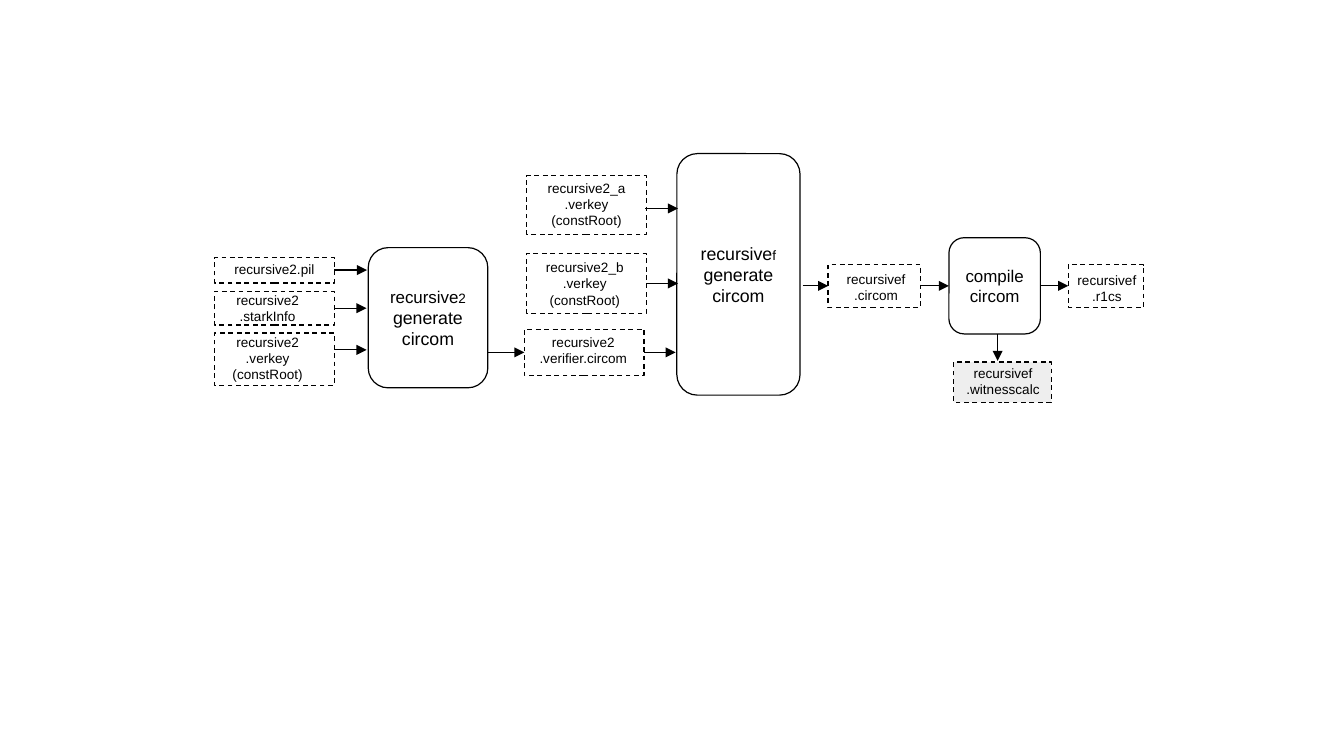
from lxml.etree import SubElement
from pptx import Presentation
from pptx.dml.color import RGBColor
from pptx.enum.dml import MSO_LINE
from pptx.enum.shapes import MSO_CONNECTOR, MSO_SHAPE
from pptx.enum.text import MSO_ANCHOR, PP_ALIGN
from pptx.oxml.ns import qn
from pptx.util import Pt

COLORS = {"ink": "000000", "white": "FFFFFF", "gray": "EEEEEE"}
FONT = "Arial"
LINE_WIDTH = 0.71
FILE_SIZE = 8
LEFT, BOTTOM, RIGHT = 1, 2, 3

STEPS = {
    "recursive2 step": ((217.4, 146.2, 70.6, 82.8),
                        [[("recursive", 10), ("2", 8)], [("generate", 10.5)], [("circom", 10.5)]]),
    "recursivef step": ((399.6, 90.7, 72.7, 142.6),
                        [[("recursive", 10.5), ("f", 8)], [("generate", 10.5)], [("circom", 10.5)]]),
    "compile step": ((560.2, 140.4, 54, 56.8),
                     [[("compile", 10)], [("circom", 10)]]),
}

FILES = {
    "pil": ((126.7, 151.9, 70.6, 15.2), (0, -0.7), None, ["recursive2.pil"]),
    "starkInfo": ((126.7, 172, 70.6, 20), (-4, 0), None, ["recursive2", ".starkInfo"]),
    "verkey": ((126.7, 196.6, 70.6, 31), (-4, -0.8), None, ["recursive2", ".verkey", "(constRoot)"]),
    "verkey a": ((311, 103.7, 70.6, 34.6), (0, -0.4), None, ["recursive2_a", ".verkey", "(constRoot)"]),
    "verkey b": ((311, 149.8, 70.6, 35.2), (-1, 0), None, ["recursive2_b", ".verkey", "(constRoot)"]),
    "verifier": ((309.6, 194.4, 70.6, 27.4), (-0.5, -1.5), None, ["recursive2", ".verifier.circom"]),
    "circom": ((488.9, 156.2, 54.7, 25.2), (1, 0.6), None, ["recursivef", ".circom"]),
    "r1cs": ((630.7, 156.2, 44.6, 25.2), (0.5, 1.5), None, ["recursivef", ".r1cs"]),
    "witnesscalc": ((563, 213.8, 57.6, 23.8), (0.4, -0.7), "gray", ["recursivef", ".witnesscalc"]),
}

ARROWS = [
    ((197.3, 159.5), (216.7, 159.5), ("pil", RIGHT), None),
    ((197.3, 182), (216.4, 182), ("starkInfo", RIGHT), None),
    ((197.3, 206.6), (216.4, 206.6), None, None),
    ((288, 208.1), (309.6, 208.1), None, ("verifier", LEFT)),
    ((380.9, 123.1), (400.3, 123.1), None, None),
    ((381.6, 167.4), (400.3, 167.4), ("verkey b", RIGHT), None),
    ((380.2, 208.1), (398.9, 208.1), ("verifier", RIGHT), None),
    ((473.8, 168.8), (488.9, 168.8), None, ("circom", LEFT)),
    ((543.6, 168.8), (560.2, 168.8), ("circom", RIGHT), ("compile step", LEFT)),
    ((614.2, 168.8), (630.7, 168.8), ("compile step", RIGHT), ("r1cs", LEFT)),
    ((589, 197.3), (589, 213.1), None, None),
]


def color(name):
    return RGBColor.from_string(COLORS[name])


def add_box(page, kind, frame, fill, lines, shift=(0, 0)):
    box = page.shapes.add_shape(kind, *map(Pt, frame))
    box.shadow.inherit = False
    if fill:
        box.fill.solid()
        box.fill.fore_color.rgb = color(fill)
    else:
        box.fill.background()
    box.line.color.rgb = color("ink")
    box.line.width = Pt(LINE_WIDTH)
    text = box.text_frame
    text.word_wrap = True
    text.vertical_anchor = MSO_ANCHOR.MIDDLE
    dx, dy = shift
    text.margin_left, text.margin_right = Pt(max(0, 2 * dx)), Pt(max(0, -2 * dx))
    text.margin_top, text.margin_bottom = Pt(max(0, 2 * dy)), Pt(max(0, -2 * dy))
    for index, spans in enumerate(lines):
        para = text.paragraphs[0] if index == 0 else text.add_paragraph()
        para.alignment = PP_ALIGN.CENTER
        for words, size in spans:
            span = para.add_run()
            span.text = words
            span.font.name = FONT
            span.font.size = Pt(size)
            span.font.color.rgb = color("ink")
    return box


def add_arrow(page, boxes, start, end, begin_join, end_join):
    arrow = page.shapes.add_connector(MSO_CONNECTOR.STRAIGHT, *map(Pt, start + end))
    if begin_join:
        arrow.begin_connect(boxes[begin_join[0]], begin_join[1])
    if end_join:
        arrow.end_connect(boxes[end_join[0]], end_join[1])
    arrow.line.color.rgb = color("ink")
    arrow.line.width = Pt(LINE_WIDTH)
    properties = arrow.element.spPr
    SubElement(properties.find(qn("a:ln")), qn("a:tailEnd"), type="triangle")
    SubElement(properties, qn("a:effectLst"))


def main():
    deck = Presentation()
    deck.slide_width, deck.slide_height = Pt(793.44), Pt(446.4)
    page = deck.slides.add_slide(deck.slide_layouts[6])
    boxes = {}
    for name, (frame, lines) in STEPS.items():
        boxes[name] = add_box(page, MSO_SHAPE.ROUNDED_RECTANGLE, frame, "white", lines)
    for name, (frame, shift, fill, words) in FILES.items():
        lines = [[(line, FILE_SIZE)] for line in words]
        boxes[name] = add_box(page, MSO_SHAPE.RECTANGLE, frame, fill, lines, shift)
        boxes[name].line.dash_style = MSO_LINE.DASH
    for arrow in ARROWS:
        add_arrow(page, boxes, *arrow)
    deck.save("out.pptx")


if __name__ == "__main__":
    main()
